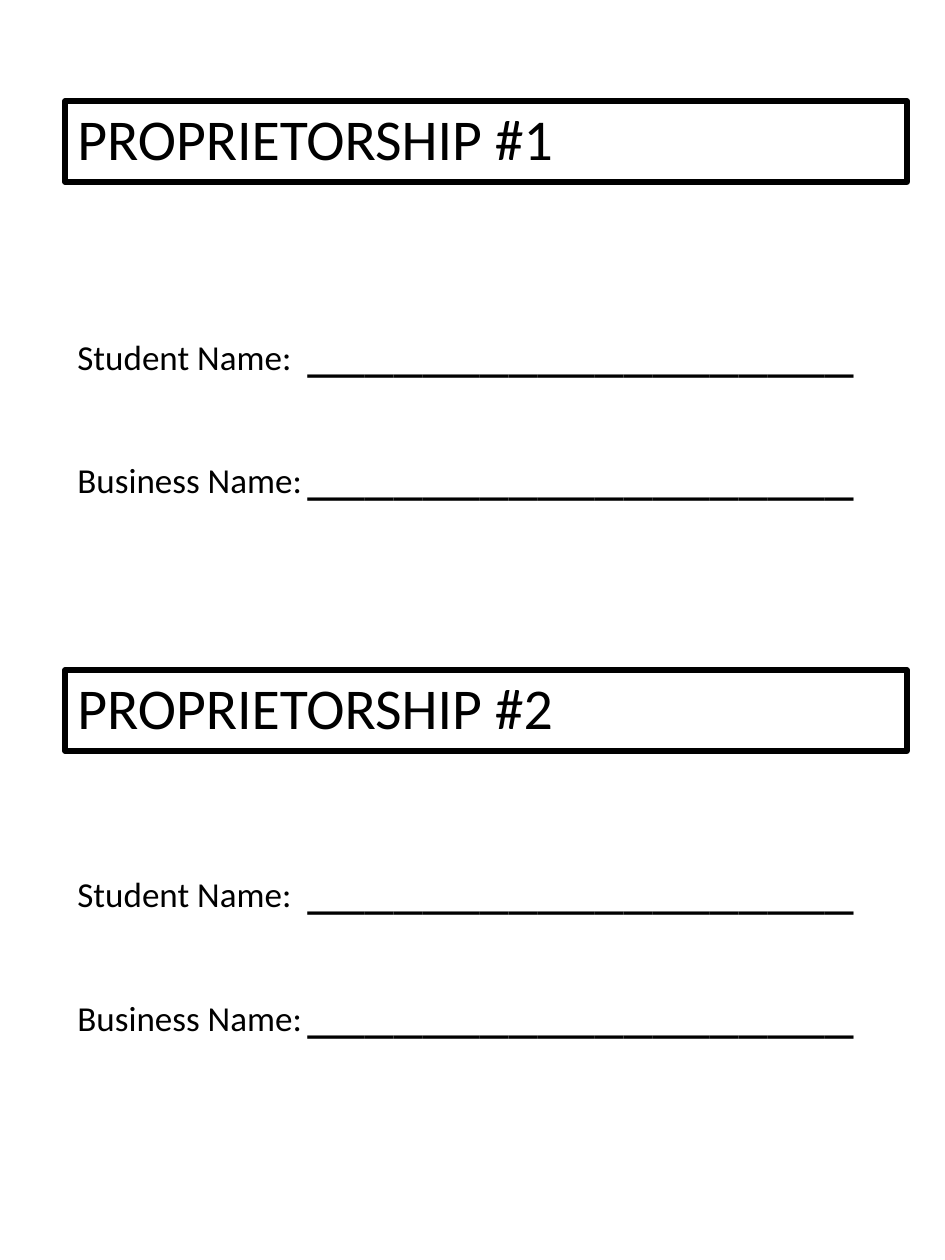
from dataclasses import dataclass

from lxml import etree
from pptx import Presentation
from pptx import util as u
from pptx.dml.color import RGBColor
from pptx.enum import shapes, text
from pptx.oxml.ns import qn

PAGE = (945, 1260)
LEFT = 65
HEADING_WIDTH, HEADING_HEIGHT = 842, 81
FORM_WIDTH = 815
BLANK_START = 230  # from the left edge of the text
FIELDS = ["Student Name:", "Business Name:"]
BLANK = "_" * 19

# Tops and heights in px; inset is the space above the fields inside the form
SECTIONS = [
    {"heading": "PROPRIETORSHIP #1", "top": 101,
     "form_top": 181, "form_height": 465, "inset": 6},
    {"heading": "PROPRIETORSHIP #2", "top": 670,
     "form_top": 631, "form_height": 580, "inset": 66},
]


@dataclass(frozen=True)
class Theme:
    ink: RGBColor = RGBColor(0, 0, 0)
    font: str = "Calibri"
    large: int = 33
    small: int = 20
    border: int = 3
    line_spacing: float = 0.9
    field_gap: int = 35


THEME = Theme()


def px(length):
    return u.Emu(round(length * 914400 / 126))


def add_run(paragraph, wording, size):
    run = paragraph.add_run()
    run.text = wording
    run.font.name = THEME.font
    run.font.size = u.Pt(size)
    run.font.color.rgb = THEME.ink


def prepare(frame):
    frame.word_wrap = True
    frame.vertical_anchor = text.MSO_ANCHOR.MIDDLE


def style(paragraph):
    paragraph.alignment = text.PP_ALIGN.LEFT
    paragraph.line_spacing = THEME.line_spacing


def add_form(slide, section):
    """Add the labelled blanks, aligned at one tab stop."""
    form = slide.shapes.add_textbox(
        px(LEFT), px(section["form_top"]), px(FORM_WIDTH), px(section["form_height"]))
    frame = form.text_frame
    prepare(frame)
    frame.margin_top = px(section["inset"])
    for index, label in enumerate(FIELDS):
        field = frame.add_paragraph() if index else frame.paragraphs[0]
        style(field)
        if index:
            field.space_before = u.Pt(THEME.field_gap)
        tabs = etree.SubElement(field._p.get_or_add_pPr(), qn("a:tabLst"))
        etree.SubElement(tabs, qn("a:tab"), pos=str(px(BLANK_START)), algn="l")
        add_run(field, label + "\t", THEME.small)
        add_run(field, BLANK, THEME.large)


def add_heading(slide, section):
    heading = slide.shapes.add_shape(
        shapes.MSO_SHAPE.RECTANGLE, px(LEFT), px(section["top"]),
        px(HEADING_WIDTH), px(HEADING_HEIGHT))
    heading.shadow.inherit = False
    heading.fill.background()
    heading.line.color.rgb = THEME.ink
    heading.line.width = u.Pt(THEME.border)
    prepare(heading.text_frame)
    title = heading.text_frame.paragraphs[0]
    style(title)
    add_run(title, section["heading"], THEME.large)


def main():
    deck = Presentation()
    deck.slide_width, deck.slide_height = map(px, PAGE)
    slide = deck.slides.add_slide(deck.slide_layouts[6])
    for add_part in (add_form, add_heading):
        for section in SECTIONS:
            add_part(slide, section)
    deck.save("out.pptx")


if __name__ == "__main__":
    main()
